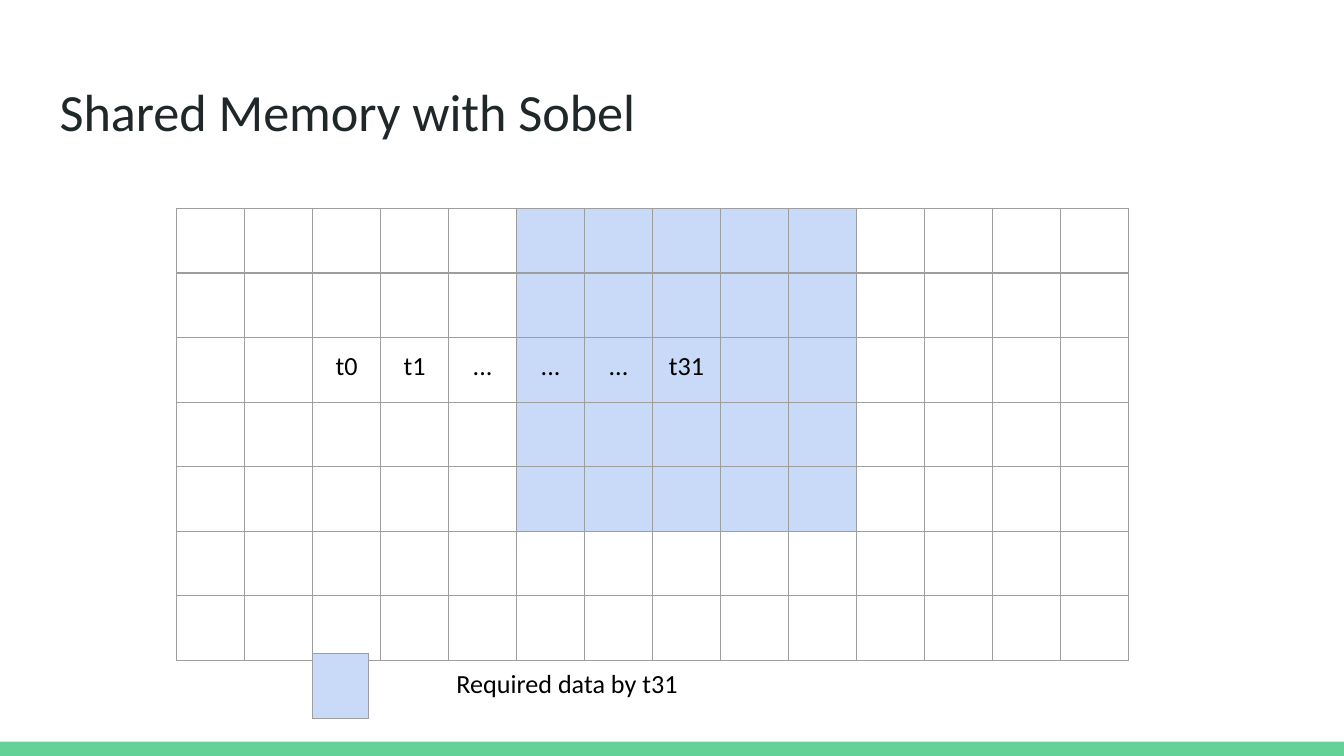
from dataclasses import dataclass

from lxml import etree
from pptx import Presentation
from pptx import util as u
from pptx.dml.color import RGBColor
from pptx.enum import shapes, text
from pptx.oxml import ns


@dataclass(frozen=True)
class Theme:
    font: str = "Calibri"
    title_size: int = 28
    body_size: int = 14
    heading: str = "202729"
    ink: str = "000000"
    accent: str = "63D297"
    required: str = "C9DAF8"
    rule: str = "9E9E9E"
    rule_width: float = 0.75
    inset: float = 0.1


def write(frame, content, theme, size, color, align=text.PP_ALIGN.LEFT):
    para = frame.paragraphs[0]
    para.alignment = align
    span = para.add_run()
    span.text = content
    span.font.name = theme.font
    span.font.size = u.Pt(size)
    span.font.color.rgb = RGBColor.from_string(color)


class SlideBuilder:
    def __init__(self, deck, theme):
        self.deck = deck
        self.theme = theme
        self.slide = deck.slides.add_slide(deck.slide_layouts[6])

    def area(self, left, top, width, height):
        across, down = self.deck.slide_width, self.deck.slide_height
        return [int(share * side / 100) for share, side in
                zip((left, top, width, height), (across, down, across, down))]

    def bar(self, place, color):
        box = self.slide.shapes.add_shape(
            shapes.MSO_SHAPE.RECTANGLE, *self.area(*place))
        box.shadow.inherit = False
        box.fill.solid()
        box.fill.fore_color.rgb = RGBColor.from_string(color)
        box.line.fill.background()

    def label(self, place, content, anchor=text.MSO_ANCHOR.MIDDLE, **style):
        frame = self.slide.shapes.add_textbox(*self.area(*place)).text_frame
        frame.word_wrap = True
        frame.vertical_anchor = anchor
        frame.margin_left = frame.margin_right = u.Inches(self.theme.inset)
        frame.margin_top = frame.margin_bottom = u.Inches(self.theme.inset)
        write(frame, content, self.theme, **style)

    def border(self, cell):
        properties = cell._tc.get_or_add_tcPr()
        for side in ("lnL", "lnR", "lnT", "lnB"):
            line = etree.SubElement(properties, ns.qn(f"a:{side}"),
                                    w=str(u.Pt(self.theme.rule_width)))
            fill = etree.SubElement(line, ns.qn("a:solidFill"))
            etree.SubElement(fill, ns.qn("a:srgbClr"), val=self.theme.rule)

    def grid(self, place, rows, columns, required, words):
        left, top, width, height = self.area(*place)
        table = self.slide.shapes.add_table(
            rows, columns, left, top, width, height).table
        table.first_row = table.horz_banding = False
        for row in range(rows):
            for column in range(columns):
                cell = table.cell(row, column)
                self.border(cell)
                if (row, column) in required:
                    cell.fill.solid()
                    cell.fill.fore_color.rgb = RGBColor.from_string(
                        self.theme.required)
                else:
                    cell.fill.background()
                if (row, column) in words:
                    cell.margin_left = cell.margin_right = u.Inches(self.theme.inset)
                    cell.margin_top = cell.margin_bottom = u.Inches(self.theme.inset)
                    write(cell.text_frame, words[row, column], self.theme,
                          size=self.theme.body_size, color=self.theme.ink,
                          align=text.PP_ALIGN.CENTER)


def main():
    deck = Presentation()
    deck.slide_width = u.Inches(10)
    deck.slide_height = deck.slide_width * 9 // 16
    theme = Theme()
    page = SlideBuilder(deck, theme)

    page.bar((0, 98.1, 100, 1.9), theme.accent)
    page.label((3.45, 8.75, 93.2, 11.2), "Shared Memory with Sobel",
               anchor=text.MSO_ANCHOR.TOP, size=theme.title_size,
               color=theme.heading)

    thread_row, first_thread, reach = 2, 2, 2
    threads = ["t0", "t1", "...", "...", "...", "t31"]
    words = {(thread_row, first_thread + index): name
             for index, name in enumerate(threads)}
    last_thread = first_thread + len(threads) - 1
    required = {(row, column)
                for row in range(thread_row - reach, thread_row + reach + 1)
                for column in range(last_thread - reach, last_thread + reach + 1)}
    page.grid((13.14, 27.58, 70.87, 59.8), 7, 14, required, words)

    page.grid((23.24, 86.47, 4.2, 8.54), 1, 1, {(0, 0)}, {})
    page.label((29.2, 87.1, 26, 6.6), "Required data by t31",
               size=theme.body_size, color=theme.ink,
               align=text.PP_ALIGN.CENTER)
    deck.save("out.pptx")


if __name__ == "__main__":
    main()
